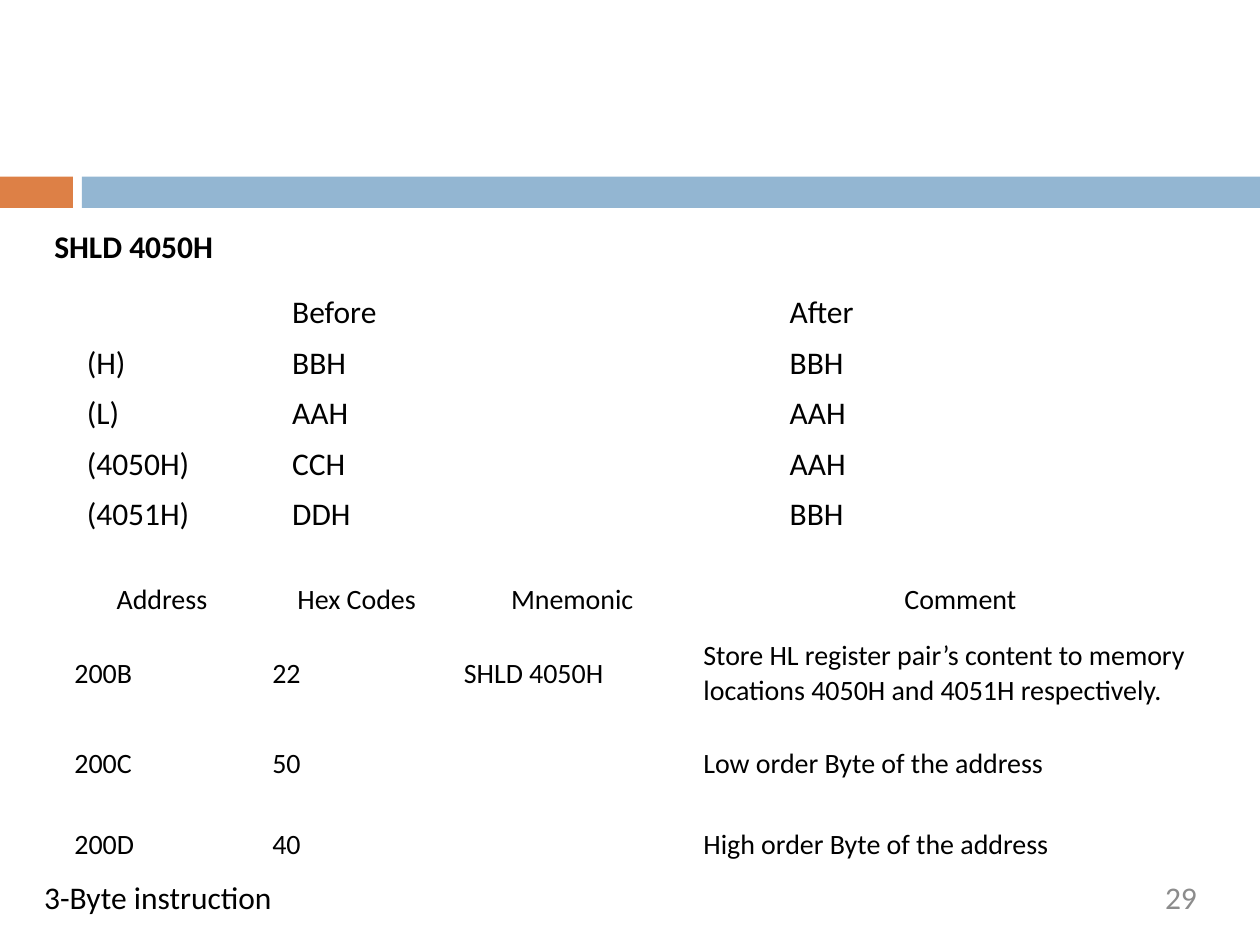
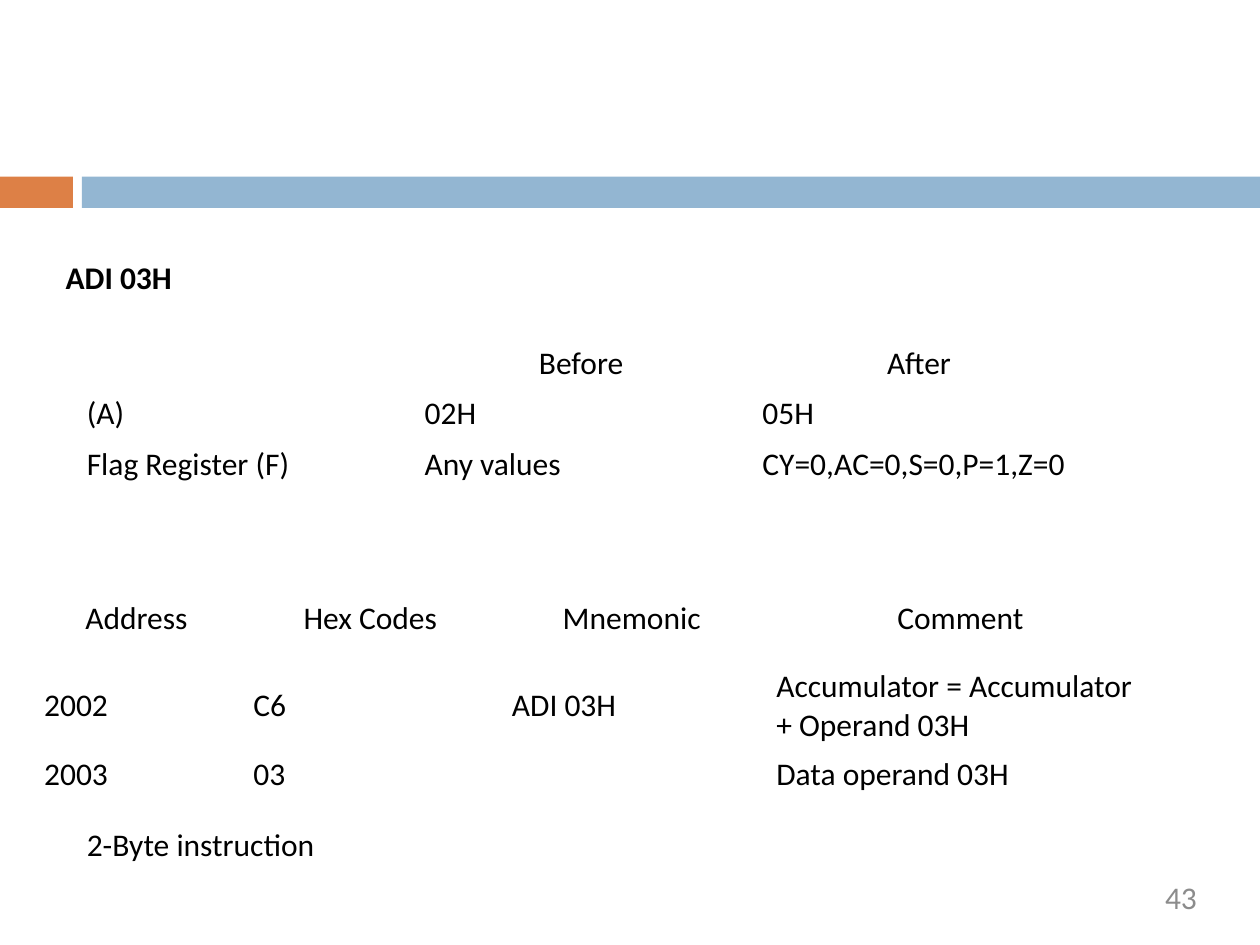
from pptx import Presentation
from pptx import util as u
from pptx.dml.color import RGBColor
from pptx.enum import shapes, text

Cm = u.Cm
FONT = "Calibri"
COLOURS = {"accent": "DD8046", "band": "93B6D2", "ink": "000000", "number": "8C8C8C"}
BANDS = [(0, 1.47, "accent"), (1.65, 23.75, "band")]  # left, width, colour
CODE_HEADINGS = ["Address", "Hex Codes", "Mnemonic", "Comment"]

# Boxes are left, top, width, height in centimetres.
SLIDES = [
    {
        "title": ("SHLD 4050H", (0.84, 4.45, 3.89, 1.02)),
        "number": "29",
        "note": ("3-Byte instruction", (0.64, 17.58, 5.31, 1.02)),
        "tables": [
            {
                "at": (1.5, 5.79),
                "columns": [4.14, 10.03, 7.19],
                "heights": [1.02] * 5,
                "size": 18,
                "side_margin": 0.25,
                "centre_header": False,
                "rows": [
                    ["", "Before", "After"],
                    ["(H)", "BBH", "BBH"],
                    ["(L)", "AAH", "AAH"],
                    ["(4050H)", "CCH", "AAH"],
                    ["(4051H)", "DDH", "BBH"],
                ],
            },
            {
                "at": (1.27, 11.63),
                "columns": [3.99, 3.86, 4.83, 10.82],
                "heights": [0.91, 2.03, 1.63, 1.63],
                "size": 16,
                "side_margin": 0.23,
                "centre_header": True,
                "rows": [
                    CODE_HEADINGS,
                    ["200B", "22", "SHLD 4050H",
                     "Store HL register pair’s content to memory "
                     "locations 4050H and 4051H respectively."],
                    ["200C", "50", "", "Low order Byte of the address"],
                    ["200D", "40", "", "High order Byte of the address"],
                ],
            },
        ],
    },
    {
        "title": ("ADI 03H", (1.07, 5.08, 2.82, 1.02)),
        "number": "43",
        "note": ("2-Byte instruction", (1.5, 16.51, 5.31, 1.02)),
        "tables": [
            {
                "at": (1.5, 6.81),
                "columns": [6.81] * 3,
                "heights": [1.02] * 3,
                "size": 18,
                "side_margin": 0.25,
                "centre_header": True,
                "rows": [
                    ["", "Before", "After"],
                    ["(A)", "02H", "05H"],
                    ["Flag Register (F)", "Any values", "CY=0,AC=0,S=0,P=1,Z=0"],
                ],
            },
            {
                "at": (0.64, 11.63),
                "columns": [4.22, 5.21, 5.33, 7.92],
                "heights": [1.7, 1.78, 1.02],
                "size": 18,
                "side_margin": 0.25,
                "centre_header": True,
                "rows": [
                    CODE_HEADINGS,
                    ["2002", "C6", "ADI 03H", "Accumulator = Accumulator + Operand 03H"],
                    ["2003", "03", "", "Data operand 03H"],
                ],
            },
        ],
    },
]


def colour(name):
    return RGBColor.from_string(COLOURS[name])


def write(frame, words, size=18, ink="ink", bold=False, align=text.PP_ALIGN.LEFT):
    paragraph = frame.paragraphs[0]
    paragraph.alignment = align
    paragraph.font.size = u.Pt(size)
    if words:
        run = paragraph.add_run()
        run.text = words
        run.font.name = FONT
        run.font.size = u.Pt(size)
        run.font.bold = bold
        run.font.color.rgb = colour(ink)


def add_bands(slide):
    for left, width, fill in BANDS:
        band = slide.shapes.add_shape(shapes.MSO_SHAPE.RECTANGLE,
                                      Cm(left), Cm(3.56), Cm(width), Cm(0.63))
        band.shadow.inherit = False
        band.fill.solid()
        band.fill.fore_color.rgb = colour(fill)
        band.line.fill.background()


def set_title(slide, words, box):
    title = slide.shapes.title
    title.left, title.top, title.width, title.height = map(Cm, box)
    frame = title.text_frame
    frame.word_wrap = False
    frame.auto_size = text.MSO_AUTO_SIZE.NONE
    frame.vertical_anchor = text.MSO_ANCHOR.TOP
    write(frame, words, bold=True)


def add_note(slide, words, box):
    frame = slide.shapes.add_textbox(*map(Cm, box)).text_frame
    frame.word_wrap = False
    write(frame, words)


def add_number(slide, words):
    frame = slide.shapes.add_textbox(Cm(18.29), Cm(17.7), Cm(5.84), Cm(0.97)).text_frame
    frame.word_wrap = True
    frame.margin_left = frame.margin_right = frame.margin_top = frame.margin_bottom = 0
    write(frame, words, ink="number", align=text.PP_ALIGN.RIGHT)


def add_table(slide, layout):
    rows, columns, heights = layout["rows"], layout["columns"], layout["heights"]
    table = slide.shapes.add_table(len(rows), len(columns), *map(Cm, layout["at"]),
                                   Cm(sum(columns)), Cm(sum(heights))).table
    table.first_row = table.horz_banding = False
    for column, width in zip(table.columns, columns):
        column.width = Cm(width)
    for row_index, (words_in_row, height) in enumerate(zip(rows, heights)):
        table.rows[row_index].height = Cm(height)
        centred = row_index == 0 and layout["centre_header"]
        align = text.PP_ALIGN.CENTER if centred else text.PP_ALIGN.LEFT
        for cell, words in zip(table.rows[row_index].cells, words_in_row):
            cell.fill.background()
            cell.vertical_anchor = text.MSO_ANCHOR.MIDDLE
            cell.margin_left = cell.margin_right = Cm(layout["side_margin"])
            write(cell.text_frame, words, layout["size"], align=align)


def main():
    presentation = Presentation()
    presentation.slide_width, presentation.slide_height = Cm(25.4), Cm(19.05)
    title_only = presentation.slide_layouts[5]
    for content in SLIDES:
        slide = presentation.slides.add_slide(title_only)
        add_bands(slide)
        set_title(slide, *content["title"])
        add_number(slide, content["number"])
        for layout in content["tables"]:
            add_table(slide, layout)
        add_note(slide, *content["note"])
    presentation.save("out.pptx")


if __name__ == "__main__":
    main()
